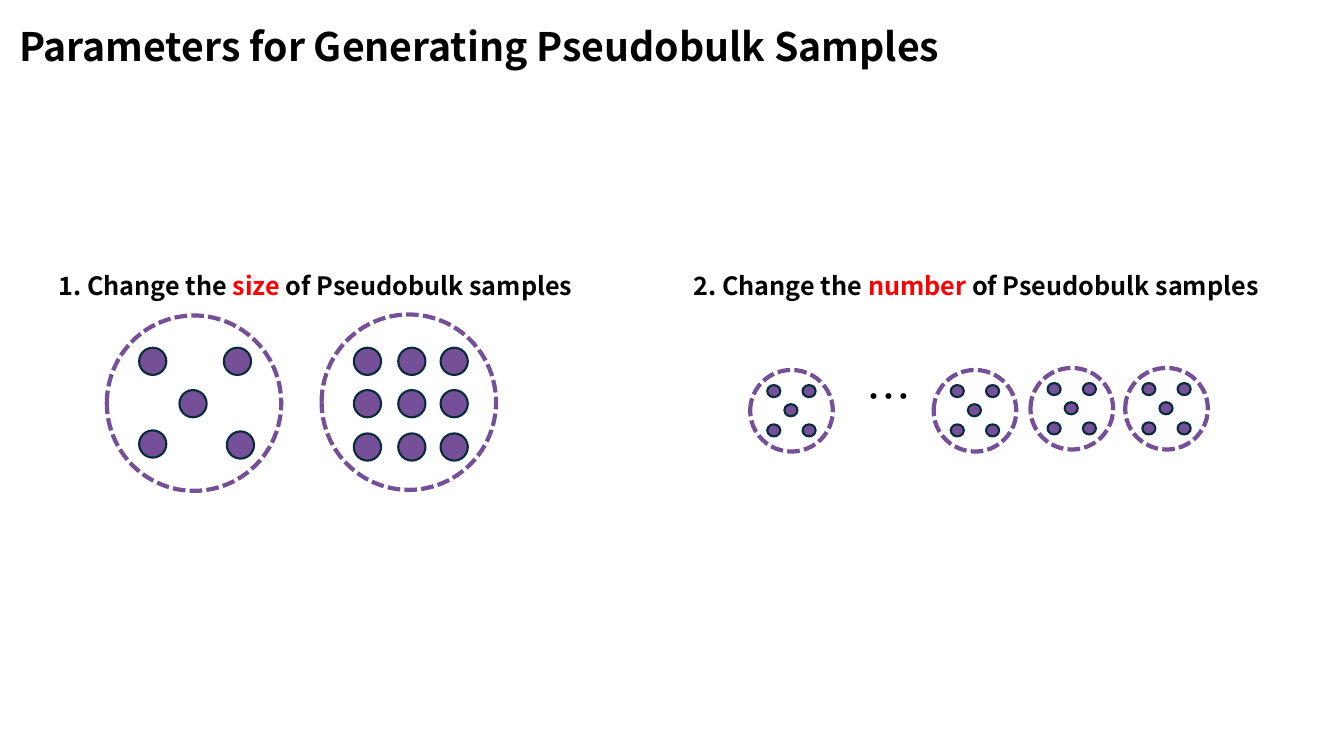
import itertools

import lxml.etree
import pptx
import pptx.dml.color
import pptx.enum.dml
import pptx.enum.shapes
import pptx.enum.text
import pptx.oxml.ns
import pptx.util

Inches = pptx.util.Inches
RGBColor = pptx.dml.color.RGBColor

PURPLE = RGBColor(0x75, 0x50, 0x99)
NAVY = RGBColor(0x09, 0x2A, 0x39)
BLACK = RGBColor(0, 0, 0)
RED = RGBColor(0xFF, 0, 0)
FONT = "Noto Sans CJK KR"

# Cell offsets inside a sample ring, in inches
LARGE_FIVE = [(0.32, 0.32), (1.16, 0.32), (0.32, 1.14), (1.19, 1.15), (0.72, 0.74)]
LARGE_NINE = list(itertools.product((0.32, 0.76, 1.18), (0.33, 0.75, 1.18)))
SMALL_FIVE = [*itertools.product((0.17, 0.52), (0.15, 0.54)), (0.34, 0.34)]
LARGE = (1.73, 1.74), (0.27, 0.27)
SMALL = (0.82, 0.81), (0.13, 0.12)


def style_run(run, size, color=BLACK, bold=True):
    """Format a run, with the same font for Latin and East Asian text."""
    font = run.font
    font.name = FONT
    font.size = pptx.util.Pt(size)
    font.bold = bold
    font.color.rgb = color
    props = run._r.get_or_add_rPr()
    lxml.etree.SubElement(props, pptx.oxml.ns.qn("a:ea"), typeface=FONT)


def add_box(slide, box):
    return slide.shapes.add_textbox(*map(Inches, box)).text_frame


def add_head(slide, box, parts):
    """Add a heading whose middle part is red."""
    frame = add_box(slide, box)
    frame.word_wrap = True
    for text, color in zip(parts, (BLACK, RED, BLACK)):
        run = frame.paragraphs[0].add_run()
        run.text = text
        style_run(run, 18, color)


def add_oval(slide, spot, size, color, width):
    oval = slide.shapes.add_shape(
        pptx.enum.shapes.MSO_SHAPE.OVAL, *map(Inches, (*spot, *size)))
    oval.shadow.inherit = False
    oval.line.color.rgb = color
    oval.line.width = pptx.util.Pt(width)
    return oval


def add_sample(slide, left, top, sizes, cells):
    """Add a dashed ring with its cells."""
    ring_size, cell_size = sizes
    ring = add_oval(slide, (left, top), ring_size, PURPLE, 3)
    ring.fill.background()
    ring.line.dash_style = pptx.enum.dml.MSO_LINE.SQUARE_DOT
    for x, y in cells:
        cell = add_oval(slide, (left + x, top + y), cell_size, NAVY, 1.5)
        cell.fill.solid()
        cell.fill.fore_color.rgb = PURPLE


def set_title(slide, text):
    title = slide.shapes.title
    title.left, title.top = Inches(0.09), Inches(0.17)
    title.width, title.height = Inches(12.36), Inches(0.57)
    frame = title.text_frame
    frame.text = text
    frame.vertical_anchor = pptx.enum.text.MSO_ANCHOR.TOP
    frame.auto_size = pptx.enum.text.MSO_AUTO_SIZE.NONE
    frame.paragraphs[0].alignment = pptx.enum.text.PP_ALIGN.LEFT
    style_run(frame.paragraphs[0].runs[0], 28)


def add_dots(slide):
    frame = add_box(slide, (8.5, 3.61, 0.53, 0.64))
    frame.word_wrap = False
    frame.text = "…"
    style_run(frame.paragraphs[0].runs[0], 32, bold=False)


def main():
    deck = pptx.Presentation()
    deck.slide_width, deck.slide_height = Inches(13.33), Inches(7.5)
    slide = deck.slides.add_slide(deck.slide_layouts.get_by_name("Title Only"))
    set_title(slide, "Parameters for Generating Pseudobulk Samples")

    add_head(slide, (0.48, 2.63, 5.39, 0.4),
             ("1. Change the ", "size", " of Pseudobulk samples"))
    add_sample(slide, 1.06, 3.13, LARGE, LARGE_FIVE)
    add_sample(slide, 3.19, 3.12, LARGE, LARGE_NINE)

    add_head(slide, (6.78, 2.63, 6.06, 0.4),
             ("2. Change the ", "number", " of Pseudobulk samples"))
    for left, top in ((7.44, 3.67), (9.26, 3.67), (10.22, 3.65), (11.16, 3.65)):
        add_sample(slide, left, top, SMALL, SMALL_FIVE)
    add_dots(slide)

    deck.save("out.pptx")


if __name__ == "__main__":
    main()
